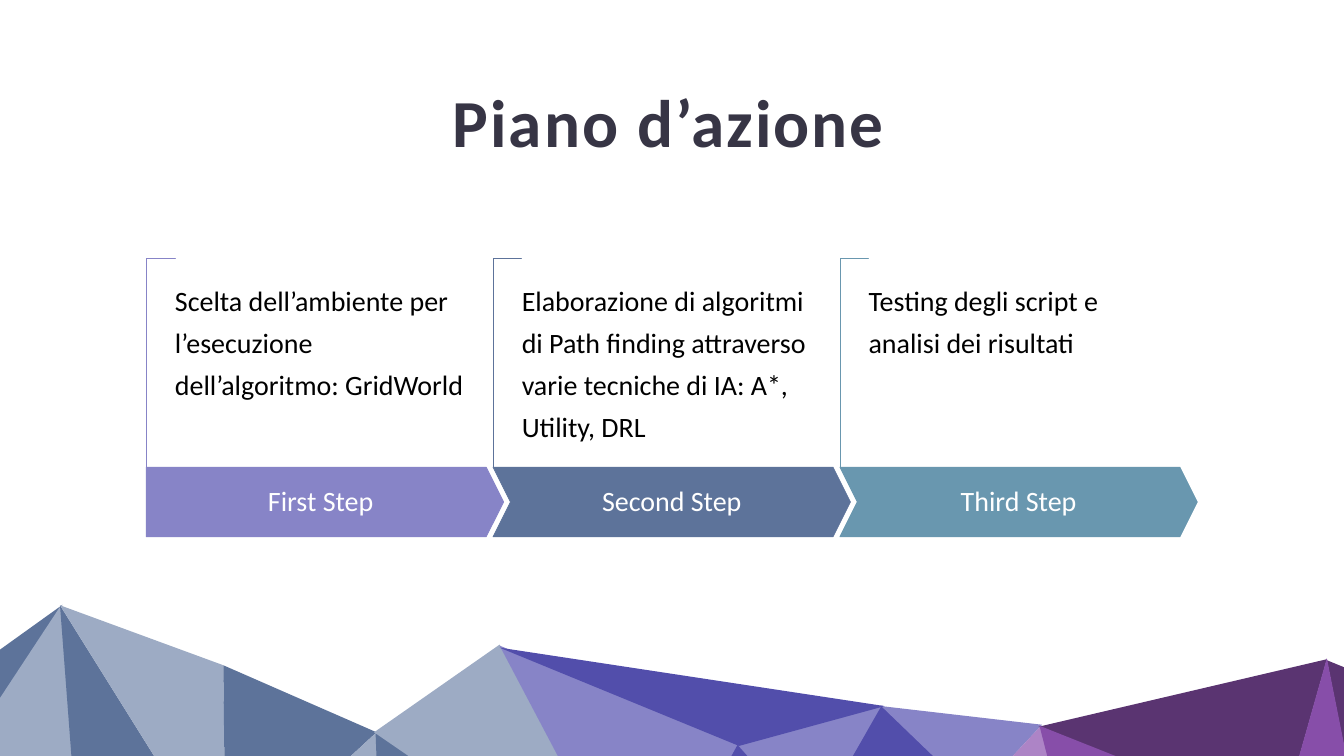
from pptx import Presentation
from pptx import util as u
from pptx.dml import color
from pptx.enum import shapes, text

PX = 9144
PITCH = 688
SLATE, MIST, LILAC, INDIGO = "5D739A", "9DABC4", "8784C7", "524EAB"
ORCHID, PLUM, VIOLET, TEAL = "AD84C6", "5A3471", "874EA9", "6997AF"

FACETS = [
    (SLATE, [(124, 0), (0, 89), (0, 188)]),
    (MIST, [(157, 464), (121, 1), (-2, 188), (-2, 464)]),
    (SLATE, [(408, 464), (119, 1), (154, 464)]),
    (MIST, [(447, 464), (443, 120), (119, 1), (408, 464)]),
    (SLATE, [(518, 464), (747, 253), (443, 120), (447, 464)]),
    (MIST, [(755, 464), (747, 253), (518, 464)]),
    (SLATE, [(1052, 464), (745, 253), (753, 464)]),
    (MIST, [(1194, 464), (991, 79), (742, 253), (1049, 464)]),
    (LILAC, [(1362, 466), (1466, 276), (991, 81), (1194, 466)]),
    (LILAC, [(1461, 279), (1610, 447), (1751, 200)]),
    (INDIGO, [(1608, 447), (1935, 380), (1749, 200)]),
    (LILAC, [(1748, 201), (1934, 380), (2067, 238)]),
    (ORCHID, [(2124, 471), (2065, 240), (1931, 383), (2028, 471)]),
    (PLUM, [(2060, 242), (2540, 433), (2632, 108)]),
    (VIOLET, [(2441, 471), (2542, 431), (2062, 240), (2121, 471)]),
    (PLUM, [(2681, 130), (2632, 110), (2681, 357)]),
    (VIOLET, [(2681, 471), (2681, 352), (2632, 106), (2540, 431), (2600, 471)]),
    (INDIGO, [(991, 85), (1755, 201), (1466, 280)]),
    (INDIGO, [(1571, 468), (1612, 446), (1463, 278), (1359, 468)]),
]

STEPS = [
    ("First Step", "Scelta dell’ambiente per l’esecuzione dell’algoritmo: GridWorld", LILAC),
    ("Second Step", "Elaborazione di algoritmi di Path finding attraverso "
     "varie tecniche di IA: A*, Utility, DRL", SLATE),
    ("Third Step", "Testing degli script e analisi dei risultati", TEAL),
]


def rgb(value):
    """Turn a hex string into a colour."""
    return color.RGBColor.from_string(value)


def paint(sp, fill, line=None):
    """Set the fill and outline of a shape and drop its shadow."""
    sp.shadow.inherit = False
    sp.fill.solid()
    sp.fill.fore_color.rgb = rgb(fill)
    if line:
        sp.line.color.rgb = rgb(line)
        sp.line.width = u.Pt(1)
    else:
        sp.line.fill.background()


def add_preset(s, kind, box, adjustments, fill, line):
    """Add a preset shape with its adjustments."""
    sp = s.shapes.add_shape(kind, *(v * PX for v in box))
    for i, value in enumerate(adjustments):
        sp.adjustments[i] = value
    paint(sp, fill, line)
    return sp


def add_text(s, box, content, size, hex_color, spacing, insets=(0, 0), wrap=True):
    """Add a one-paragraph text box and return it."""
    sp = s.shapes.add_textbox(*(v * PX for v in box))
    tf = sp.text_frame
    tf.word_wrap = wrap
    tf.margin_left = tf.margin_right = insets[0] * PX
    tf.margin_top = tf.margin_bottom = insets[1] * PX
    p = tf.paragraphs[0]
    p.text = content
    p.line_spacing = spacing
    font = p.runs[0].font
    font.name, font.size = "Calibri", u.Pt(size)
    font.color.rgb = rgb(hex_color)
    return sp


def add_mountains(s, x, y):
    """Draw the faceted mountain range from its top left corner."""
    for fill, points in FACETS:
        builder = s.shapes.build_freeform(*points[0], scale=PX)
        builder.add_line_segments(points[1:], close=True)
        paint(builder.convert_to_shape(x * PX, y * PX), fill)


def add_title(s, x, y, w, h):
    """Add the letter-spaced slide title."""
    sp = add_text(s, (x, y, w, h), "Piano d’azione", 96, "373545", 0.9, (10, 5), False)
    sp.text_frame.auto_size = text.MSO_AUTO_SIZE.SHAPE_TO_FIT_TEXT
    r = sp.text_frame.paragraphs[0].runs[0]
    r.font.bold = True
    r.font._element.set("spc", "300")


def add_step(s, x, y, w, h, step, first):
    """Add one step: bracket, arrow, label and description."""
    label, body, accent = step
    arrow_h, arm, tip = 138, 57, 35
    arrow_y = y + h - arrow_h
    long = arrow_y - y
    bracket = (x + (arm - long) // 2, y + (long - arm) // 2, long, arm)
    sp = add_preset(s, shapes.MSO_SHAPE.CORNER, bracket, (0.01, 0.01), "FFFFFF", accent)
    sp.rotation = 90
    kind = shapes.MSO_SHAPE.PENTAGON if first else shapes.MSO_SHAPE.CHEVRON
    add_preset(s, kind, (x, arrow_y, w, arrow_h), (0.25,), accent, accent)
    left, label_w = (x, w - tip // 2) if first else (x + tip, w - 2 * tip)
    sp = add_text(s, (left, arrow_y, label_w, arrow_h), label, 40, "FFFFFF", 0.9, (28, 56))
    sp.text_frame.vertical_anchor = text.MSO_ANCHOR.MIDDLE
    sp.text_frame.paragraphs[0].alignment = text.PP_ALIGN.CENTER
    add_text(s, (x + arm, y + 34, 576, 280), body, 40, "000000", 1.25)


def main():
    """Build and save the slide."""
    prs = Presentation()
    prs.slide_width, prs.slide_height = 2666 * PX, 1500 * PX
    s = prs.slides.add_slide(prs.slide_layouts[6])
    add_mountains(s, 0, 1200)
    for i, step in enumerate(STEPS):
        add_step(s, 290 + i * PITCH, 512, 709, 553, step, i == 0)
    add_title(s, 888, 172, 890, 156)
    prs.save("out.pptx")


if __name__ == "__main__":
    main()
